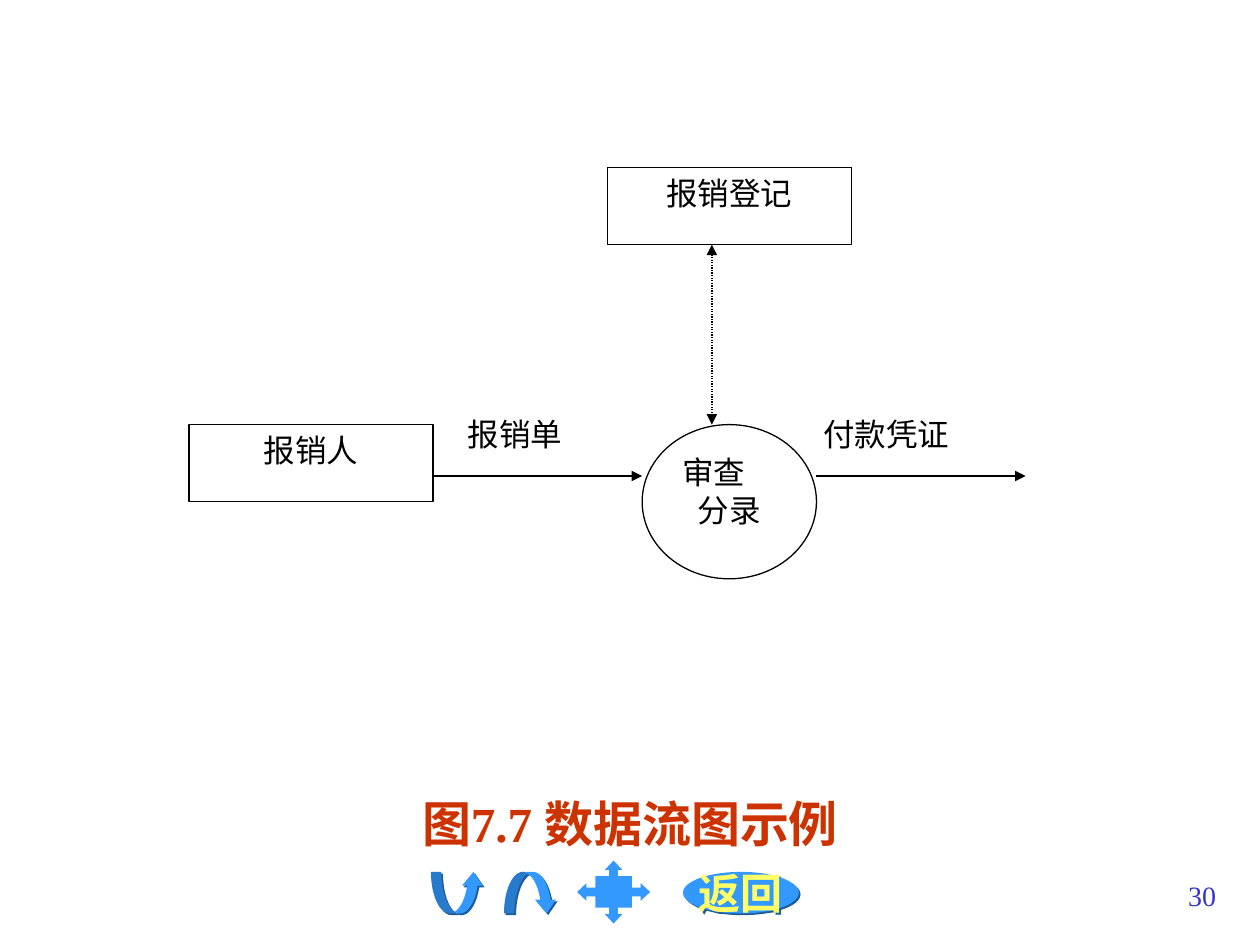
from dataclasses import dataclass

from lxml import etree
from pptx import Presentation
from pptx.dml.color import RGBColor
from pptx.enum.dml import MSO_LINE
from pptx.enum.shapes import MSO_CONNECTOR, MSO_SHAPE
from pptx.enum.text import MSO_ANCHOR, PP_ALIGN
from pptx.oxml.ns import qn
from pptx.util import Inches, Pt

RECTANGLE, OVAL = MSO_SHAPE.RECTANGLE, MSO_SHAPE.OVAL
UP_ARROW, DOWN_ARROW = MSO_SHAPE.CURVED_UP_ARROW, MSO_SHAPE.CURVED_DOWN_ARROW
FOUR_ARROWS = MSO_SHAPE.QUAD_ARROW_CALLOUT
STRAIGHT = MSO_CONNECTOR.STRAIGHT
DOTTED = MSO_LINE.ROUND_DOT
TOP, MIDDLE = MSO_ANCHOR.TOP, MSO_ANCHOR.MIDDLE
CENTER, RIGHT = PP_ALIGN.CENTER, PP_ALIGN.RIGHT

# Diagram grid, in inches
GRID_LEFT, GRID_TOP = 1.5, 1.33
COLUMN, ROW = 6.64 / 24, 0.204
BOX_COLUMNS, BOX_ROWS = 7, 3
FLOW_ROW = 12


@dataclass(frozen=True)
class Theme:
    font: str = "Times New Roman"
    ink: str = "000000"
    paper: str = "FFFFFF"
    caption: str = "CC3300"
    number: str = "3333CC"
    button: str = "3399FF"
    button_shadow: str = "1E5B98"
    button_text: str = "FFFF66"
    diagram_size: int = 18
    caption_size: int = 28
    button_size: int = 24
    number_size: int = 16
    line_width: float = 0.75


THEME = Theme()


def color(value):
    return RGBColor.from_string(value)


def grid_point(column, row):
    return Inches(GRID_LEFT + column * COLUMN), Inches(GRID_TOP + row * ROW)


def grid_area(column, row, columns, rows):
    return (*grid_point(column, row), Inches(columns * COLUMN), Inches(rows * ROW))


def write(shape, text, size, ink, align=CENTER, bold=False, anchor=TOP, wrap=True):
    frame = shape.text_frame
    frame.word_wrap = wrap
    frame.vertical_anchor = anchor
    paragraph = frame.paragraphs[0]
    paragraph.text = text
    paragraph.alignment = align
    font = paragraph.font
    font.name, font.size, font.bold = THEME.font, Pt(size), bold
    font.color.rgb = color(ink)


def add_text(slide, area, text, size, ink, **style):
    write(slide.shapes.add_textbox(*area), text, size, ink, **style)


def add_label(slide, column, row, text):
    area = grid_area(column, row, BOX_COLUMNS, BOX_ROWS)
    add_text(slide, area, text, THEME.diagram_size, THEME.ink)


def add_node(slide, kind, text, column, row, columns=BOX_COLUMNS, rows=BOX_ROWS):
    shape = slide.shapes.add_shape(kind, *grid_area(column, row, columns, rows))
    shape.shadow.inherit = False
    shape.fill.solid()
    shape.fill.fore_color.rgb = color(THEME.paper)
    shape.line.color.rgb = color(THEME.ink)
    shape.line.width = Pt(THEME.line_width)
    write(shape, text, THEME.diagram_size, THEME.ink)


def add_flow(slide, start, end, both_ways=False):
    """Arrow between two grid points; a two-way flow is dotted."""
    connector = slide.shapes.add_connector(STRAIGHT, *grid_point(*start), *grid_point(*end))
    connector.line.color.rgb = color(THEME.ink)
    connector.line.width = Pt(THEME.line_width)
    if both_ways:
        connector.line.dash_style = DOTTED
    properties = connector._element.spPr
    line = properties.find(qn("a:ln"))
    for tag in ("a:headEnd", "a:tailEnd") if both_ways else ("a:tailEnd",):
        etree.SubElement(line, qn(tag), type="triangle")
    etree.SubElement(properties, qn("a:effectLst"))


def add_button(slide, kind, left, top, width, height, adjustments=(), shadow=True):
    shape = slide.shapes.add_shape(kind, *map(Inches, (left, top, width, height)))
    for index, value in enumerate(adjustments):
        shape.adjustments[index] = value
    shape.fill.solid()
    shape.fill.fore_color.rgb = color(THEME.button)
    shape.line.fill.background()
    shape.shadow.inherit = False
    if shadow:
        effects = shape._element.spPr.find(qn("a:effectLst"))
        outer = etree.SubElement(effects, qn("a:outerShdw"), dist=str(Pt(1.4)),
                                 dir="2700000", algn="ctr", rotWithShape="0")
        etree.SubElement(outer, qn("a:srgbClr"), val=THEME.button_shadow)
    return shape


def add_navigation(slide):
    top, height = 6.92, 0.33
    for kind, left in ((UP_ARROW, 3.42), (DOWN_ARROW, 4.0)):
        add_button(slide, kind, left, top, 0.42, height, (0.25, 0.5, 0.33))
    back = add_button(slide, OVAL, 5.42, top, 0.92, height)
    write(back, "返回", THEME.button_size, THEME.button_text,
          bold=True, anchor=MIDDLE, wrap=False)
    add_button(slide, FOUR_ARROWS, 4.58, 6.83, 0.58, 0.5,
               (0.14, 0.14, 0.15, 0.5), shadow=False)


def add_diagram(slide):
    add_label(slide, 16.5, 9.4, "付款凭证")
    add_label(slide, 5.85, 9.4, "报销单")
    add_node(slide, RECTANGLE, "报销登记", 12, 0)
    add_node(slide, RECTANGLE, "报销人", 0, 10)
    add_node(slide, OVAL, "审查　分录", 13, 10, columns=5, rows=6)
    add_flow(slide, (7, FLOW_ROW), (13, FLOW_ROW))
    add_flow(slide, (18, FLOW_ROW), (24, FLOW_ROW))
    add_flow(slide, (15, 3), (15, 10), both_ways=True)


def main():
    presentation = Presentation()
    presentation.slide_width, presentation.slide_height = Inches(10), Inches(7.5)
    slide = presentation.slides.add_slide(presentation.slide_layouts[6])
    add_navigation(slide)
    add_text(slide, map(Inches, (0.75, 6.25, 8.5, 0.58)), "图7.7 数据流图示例",
             THEME.caption_size, THEME.caption, bold=True)
    add_diagram(slide)
    add_text(slide, map(Inches, (7.67, 6.92, 2.08, 0.5)), "30",
             THEME.number_size, THEME.number, align=RIGHT)
    presentation.save("out.pptx")


if __name__ == "__main__":
    main()
